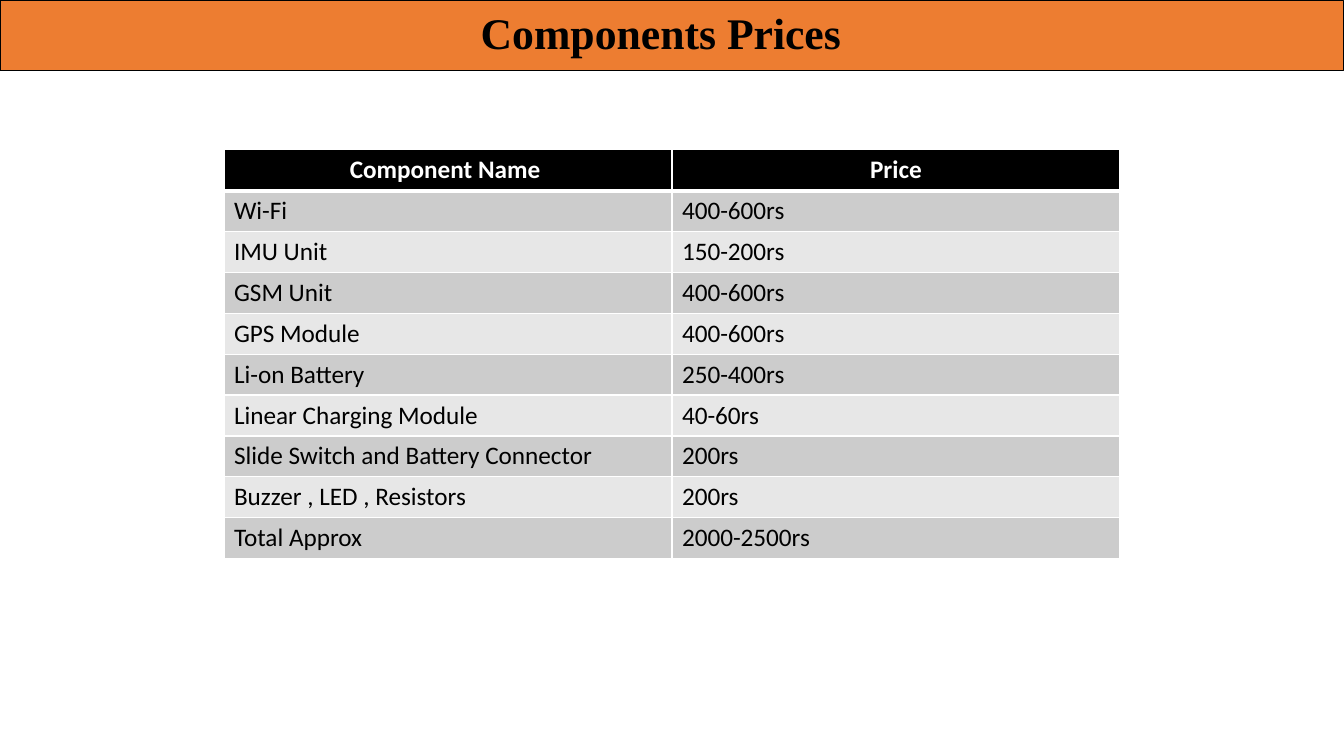
from lxml import etree
from pptx import Presentation
from pptx.dml.color import RGBColor
from pptx.enum import shapes, text
from pptx.oxml import ns
from pptx.util import Pt

PRICES = [
    ("Component Name ", "Price"),
    ("Wi-Fi", "400-600rs"),
    ("IMU Unit", "150-200rs"),
    ("GSM Unit", "400-600rs"),
    ("GPS Module", "400-600rs"),
    ("Li-on Battery", "250-400rs"),
    ("Linear Charging Module", "40-60rs"),
    ("Slide Switch and Battery Connector", "200rs"),
    ("Buzzer , LED , Resistors", "200rs"),
    ("Total Approx", "2000-2500rs"),
]


def paint(fill, color):
    fill.solid()
    fill.fore_color.rgb = RGBColor.from_string(color)


def write(frame, words, size=18, font="Calibri", color="000000",
          bold=False, center=False, spacing=None):
    para = frame.paragraphs[0]
    para.alignment = text.PP_ALIGN.CENTER if center else text.PP_ALIGN.LEFT
    if spacing:
        para.line_spacing = spacing
    run = para.add_run()
    run.text = words
    run.font.size, run.font.name, run.font.bold = Pt(size), font, bold
    paint(run.font.fill, color)


def edge(cell, color, **widths):
    """Set cell borders; widths are points keyed by side: L, R, T, B."""
    props = cell._tc.get_or_add_tcPr()
    for spot, side in enumerate("LRTB"):
        line = etree.Element(ns.qn(f"a:ln{side}"), w=str(Pt(widths[side])))
        fill = etree.SubElement(line, ns.qn("a:solidFill"))
        etree.SubElement(fill, ns.qn("a:srgbClr"), val=color)
        props.insert(spot, line)


def banner(slide, words, left, top, width, height):
    bar = slide.shapes.add_shape(shapes.MSO_SHAPE.RECTANGLE, Pt(left), Pt(top),
                                 Pt(width), Pt(height))
    bar.shadow.inherit = False
    paint(bar.fill, "ED7D31")
    paint(bar.line.fill, "000000")
    bar.line.width = Pt(0.75)
    frame = bar.text_frame
    frame.word_wrap = True
    frame.vertical_anchor = text.MSO_ANCHOR.MIDDLE
    frame.margin_right = Pt(23)
    write(frame, words, size=31.2, font="Times New Roman", bold=True,
          center=True, spacing=0.9)


def grid(slide, rows, left, top, width, height):
    count, span = len(rows), len(rows[0])
    table = slide.shapes.add_table(count, span, Pt(left), Pt(top),
                                   Pt(width), Pt(height)).table
    for col in table.columns:
        col.width = Pt(width / span)
    for r, row in enumerate(rows):
        table.rows[r].height = Pt(height / count)
        head = r == 0
        shade = "000000" if head else "CCCCCC" if r % 2 else "E7E7E7"
        for c, words in enumerate(row):
            cell = table.cell(r, c)
            paint(cell.fill, shade)
            edge(cell, "FFFFFF", L=1, R=1, T=3 if r == 1 else 1, B=3 if head else 1)
            write(cell.text_frame, words, color="FFFFFF" if head else "000000",
                  bold=head, center=head)


def main():
    deck = Presentation()
    deck.slide_width, deck.slide_height = Pt(960), Pt(540)
    slide = deck.slides.add_slide(deck.slide_layouts[6])
    banner(slide, "Components Prices", 0, 0.2, 960, 50.2)
    grid(slide, PRICES, 160, 107, 640, 292)
    deck.save("out.pptx")


if __name__ == "__main__":
    main()
